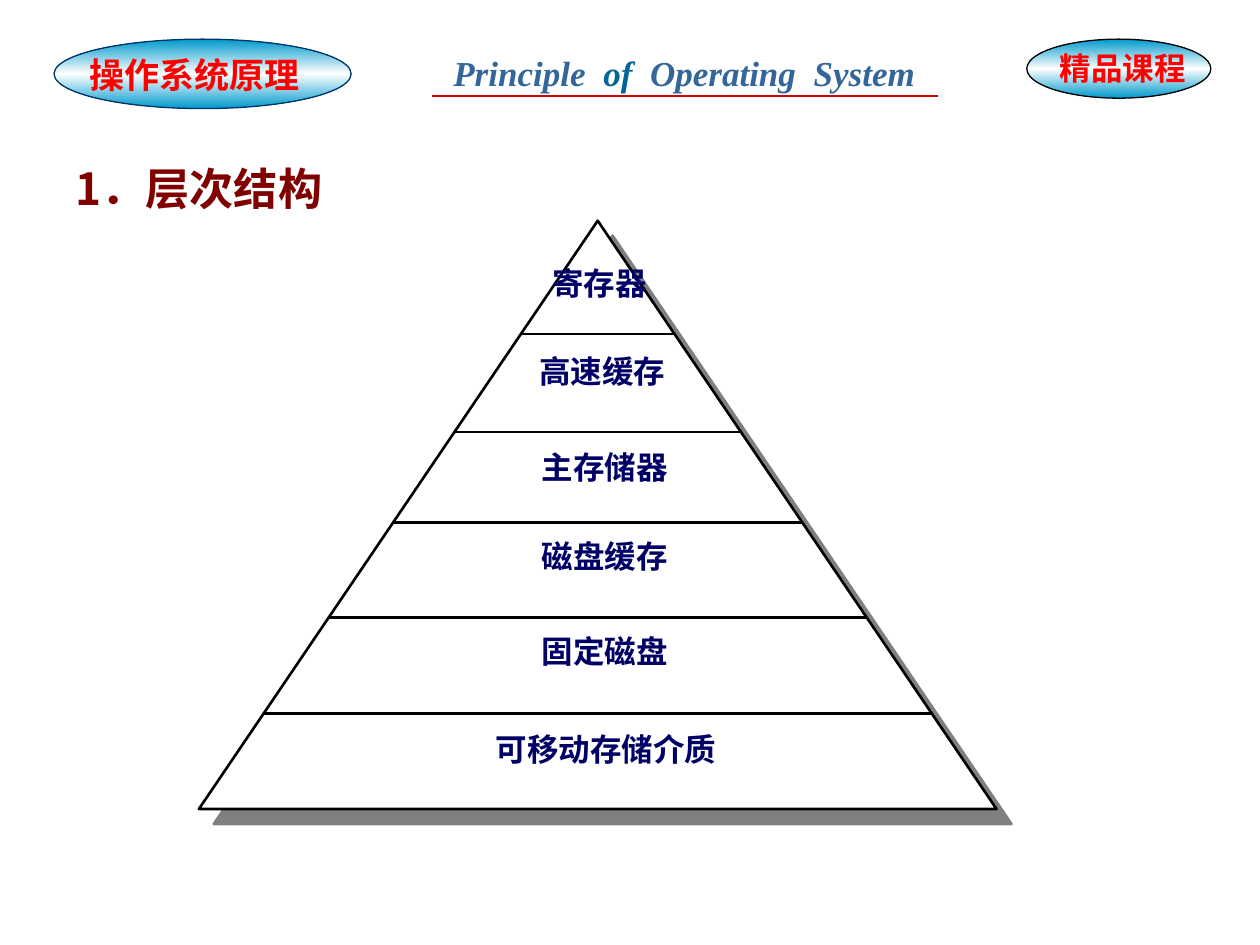
from copy import deepcopy
from dataclasses import dataclass

from lxml.etree import SubElement
from pptx import Presentation
from pptx.dml.color import RGBColor
from pptx.enum.shapes import MSO_CONNECTOR, MSO_SHAPE
from pptx.enum.text import MSO_ANCHOR, PP_ALIGN
from pptx.oxml.ns import qn
from pptx.util import Cm, Pt


@dataclass(frozen=True)
class Theme:
    serif: str = "Times New Roman"
    sans: str = "Arial"
    chinese: str = "Noto Sans CJK JP"
    red: str = "FF0000"
    rule_red: str = "CC0000"
    maroon: str = "800000"
    navy: str = "000066"
    edge_blue: str = "003366"
    steel: str = "336699"
    teal: str = "006699"
    sky: str = "0099CC"
    white: str = "FFFFFF"
    black: str = "000000"
    grey: str = "808080"
    title_size: float = 25.2
    header_size: float = 20
    label_size: float = 18


def apply_format(target, values):
    for name, value in values.items():
        setattr(target, name, value)


class SlideBuilder:
    def __init__(self, slide, theme):
        self.slide = slide
        self.theme = theme
        self.canvas = slide.shapes

    def start_group(self):
        self.canvas = self.slide.shapes.add_group_shape().shapes

    def place(self, shape, left, top, width, height):
        apply_format(shape, {"left": Cm(left), "top": Cm(top),
                             "width": Cm(width), "height": Cm(height)})

    def outline(self, line, color, width):
        line.color.rgb = RGBColor.from_string(color)
        line.width = Pt(width)

    def add_span(self, paragraph, text, font, size, color, italic=False, tracking=0):
        span = paragraph.add_run()
        span.text = text
        apply_format(span.font, {"name": font, "size": Pt(size),
                                 "bold": True, "italic": italic})
        span.font.color.rgb = RGBColor.from_string(color)
        properties = span._r.get_or_add_rPr()
        SubElement(properties, qn("a:ea"), typeface=self.theme.chinese)
        if tracking:
            properties.set("spc", str(tracking))

    def title(self, text, *bounds):
        box = self.slide.shapes.title
        self.place(box, *bounds)
        apply_format(box.text_frame, {"vertical_anchor": MSO_ANCHOR.TOP, "word_wrap": True})
        paragraph = box.text_frame.paragraphs[0]
        apply_format(paragraph, {"alignment": PP_ALIGN.LEFT, "line_spacing": 1.0,
                                 "space_before": Pt(0)})
        self.add_span(paragraph, text, self.theme.chinese, self.theme.title_size,
                      self.theme.maroon)

    def text(self, bounds, spans, align=PP_ALIGN.LEFT, wrap=True, margins=(0.25, 0.13)):
        box = self.canvas.add_textbox(*map(Cm, bounds))
        across, down = map(Cm, margins)
        apply_format(box.text_frame, {"word_wrap": wrap, "margin_left": across,
                                      "margin_right": across, "margin_top": down,
                                      "margin_bottom": down})
        paragraph = box.text_frame.paragraphs[0]
        paragraph.alignment = align
        for span in spans:
            self.add_span(paragraph, **span)

    def badge(self, edge, *bounds):
        oval = self.canvas.add_shape(MSO_SHAPE.OVAL, *map(Cm, bounds))
        oval.shadow.inherit = False
        self.outline(oval.line, edge, 0.75)
        oval.fill.gradient()
        oval.fill.gradient_angle = 90
        stops = oval._element.spPr.find(".//" + qn("a:gsLst"))
        stops.append(deepcopy(stops[0]))
        colors = (self.theme.sky, self.theme.white, self.theme.sky)
        for stop, position, color in zip(oval.fill.gradient_stops, (0, 0.5, 1), colors):
            stop.position = position
            stop.color.rgb = RGBColor.from_string(color)

    def triangle(self, *bounds):
        shape = self.canvas.add_shape(MSO_SHAPE.ISOSCELES_TRIANGLE, *map(Cm, bounds))
        shape.fill.solid()
        shape.fill.fore_color.rgb = RGBColor.from_string(self.theme.white)
        self.outline(shape.line, self.theme.black, 1.5)
        shape.shadow.inherit = False
        effects = shape._element.spPr.find(qn("a:effectLst"))
        shadow = SubElement(effects, qn("a:outerShdw"), dist=str(Pt(12.1)),
                            dir="2700000", algn="ctr", rotWithShape="0")
        SubElement(shadow, qn("a:srgbClr"), val=self.theme.grey)

    def rule(self, left, right, height, color, width):
        line = self.canvas.add_connector(MSO_CONNECTOR.STRAIGHT, Cm(left), Cm(height),
                                         Cm(right), Cm(height))
        self.outline(line.line, color, width)
        SubElement(line._element.spPr, qn("a:effectLst"))


def add_header(builder):
    theme = builder.theme
    builder.badge(theme.edge_blue, 1.09, 0.79, 5.99, 1.4)
    builder.text((1.55, 0.94, 4.75, 1.12),
                 [{"text": "操作系统原理", "font": theme.serif,
                   "size": theme.header_size, "color": theme.red}], wrap=False)
    words = (("Principle", theme.steel), ("of", theme.teal),
             ("Operating", theme.steel), ("System", theme.steel))
    style = {"font": theme.serif, "size": theme.header_size, "italic": True}
    spans = []
    for word, color in words:
        if spans:
            spans.append({"text": " ", "color": color, "tracking": 500, **style})
        spans.append({"text": word, "color": color, **style})
    builder.text((8.89, 0.91, 9.98, 1.12), spans, wrap=False)
    builder.rule(8.71, 18.9, 1.93, theme.rule_red, 1)
    builder.badge(theme.black, 20.7, 0.79, 3.71, 1.19)
    builder.text((21.11, 0.86, 3.51, 1.02),
                 [{"text": "精品课程", "font": theme.sans,
                   "size": theme.label_size, "color": theme.red}])


def add_pyramid(builder):
    theme = builder.theme
    left, top, width, height = 4.01, 4.45, 16.08, 11.86
    apex = left + width / 2
    dividers = (6.73, 8.71, 10.54, 12.45, 14.38)
    tiers = (
        ("寄存器", 12.09, 5.33, 2.59),
        ("高速缓存", 12.14, 7.09, 2.84),
        ("主存储器", 12.19, 9.04, 2.84),
        ("磁盘缓存", 12.19, 10.82, 2.84),
        ("固定磁盘", 12.19, 12.75, 2.84),
        ("可移动存储介质", 12.22, 14.71, 4.88),
    )
    builder.start_group()
    builder.triangle(left, top, width, height)
    for level in dividers:
        reach = width / 2 * (level - top) / height
        builder.rule(apex - reach, apex + reach, level, theme.black, 1.5)
    for name, center, label_top, label_width in tiers:
        builder.text((center - label_width / 2, label_top, label_width, 1.42),
                     [{"text": name, "font": theme.chinese,
                       "size": theme.label_size, "color": theme.navy}],
                     align=PP_ALIGN.CENTER, margins=(0, 0))


def main():
    deck = Presentation()
    apply_format(deck, {"slide_width": Cm(25.4), "slide_height": Cm(19.05)})
    page = deck.slides.add_slide(deck.slide_layouts.get_by_name("Title Only"))
    builder = SlideBuilder(page, Theme())
    add_header(builder)
    builder.title("1．层次结构", 1.27, 3.12, 22.86, 2.08)
    add_pyramid(builder)
    deck.save("out.pptx")


if __name__ == "__main__":
    main()
